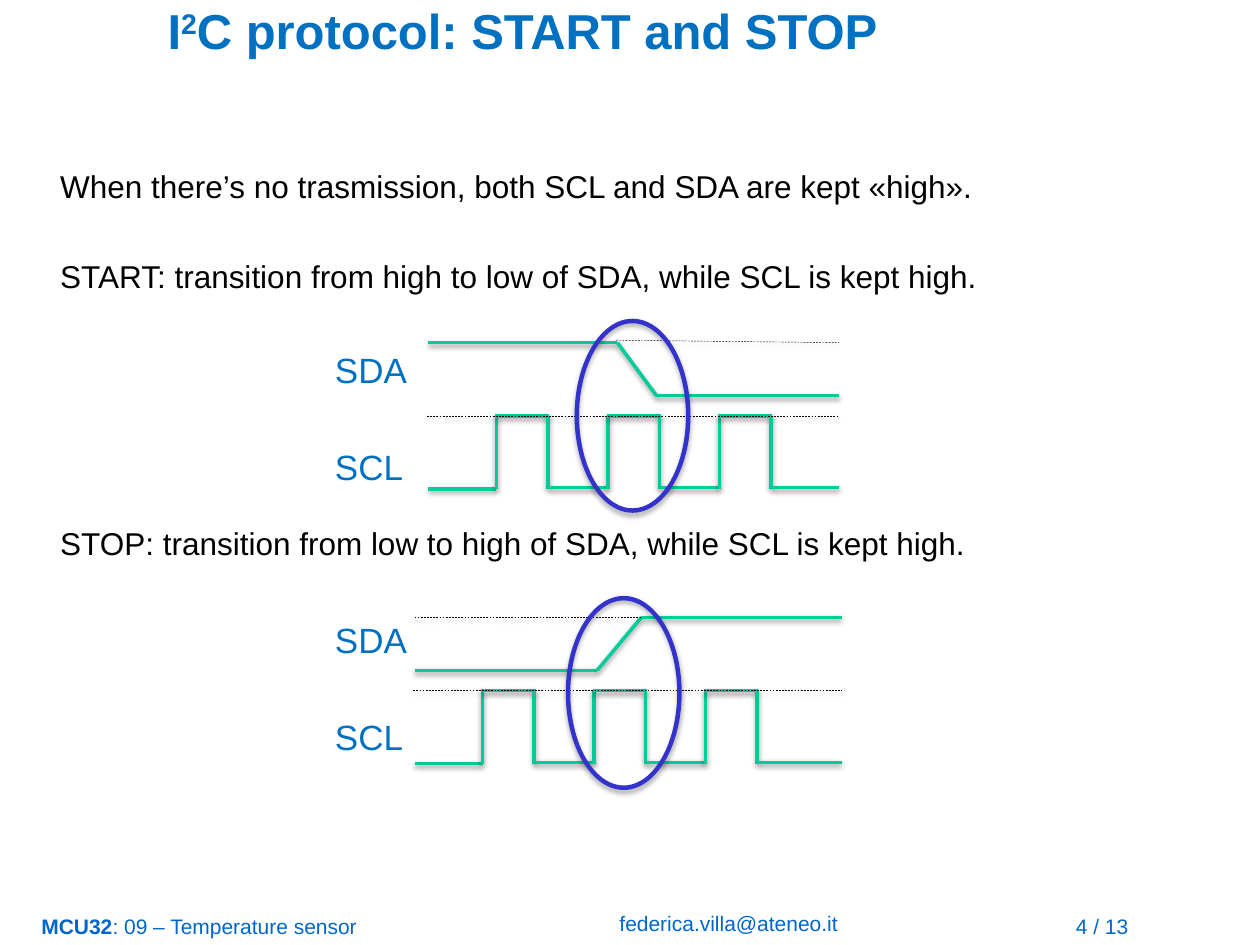
from dataclasses import dataclass
from itertools import pairwise

from lxml.etree import SubElement
from pptx import Presentation
from pptx.dml.color import RGBColor
from pptx.enum.dml import MSO_LINE
from pptx.enum.shapes import MSO_CONNECTOR, MSO_SHAPE
from pptx.enum.text import MSO_ANCHOR, PP_ALIGN
from pptx.oxml.ns import qn
from pptx.util import Inches, Pt

BLACK = RGBColor(0x00, 0x00, 0x00)
TITLE_BLUE = RGBColor(0x00, 0x70, 0xC0)
FOOTER_BLUE = RGBColor(0x00, 0x66, 0xCC)
GREEN = RGBColor(0x00, 0xCC, 0x99)
INDIGO = RGBColor(0x33, 0x33, 0xCC)

SCL_HEIGHT = 0.58
PULSE_PITCH = 0.885
PULSE_WIDTH = 0.41
FIRST_RISE = 0.54

Point = tuple[float, float]


@dataclass(frozen=True)
class Diagram:
    left: float
    right: float
    scl_high: float
    sda: tuple[Point, ...]
    sda_reference: tuple[Point, Point]
    sda_label_top: float
    ring: Point


DIAGRAMS = [
    Diagram(3.40, 6.66, 3.30,
            ((3.40, 2.72), (4.90, 2.72), (5.21, 3.14), (6.66, 3.14)),
            ((4.89, 2.70), (6.66, 2.72)), 2.72, (4.56, 2.53)),
    Diagram(3.29, 6.68, 5.48,
            ((3.29, 5.32), (4.74, 5.32), (5.09, 4.90), (6.68, 4.90)),
            ((3.29, 4.90), (5.10, 4.90)), 4.86, (4.49, 4.73)),
]


def add_shadow(sp, alpha: int, distance: float) -> None:
    effects = SubElement(sp._element.spPr, qn("a:effectLst"))
    shadow = SubElement(effects, qn("a:outerShdw"), blurRad=str(Pt(3.1)),
                        dist=str(Pt(distance)), dir="5400000", rotWithShape="0")
    color = SubElement(shadow, qn("a:srgbClr"), val=str(BLACK))
    SubElement(color, qn("a:alpha"), val=str(alpha * 1000))


def add_line(shapes, start: Point, end: Point, color=GREEN, width=2.0, dash=None) -> None:
    line = shapes.add_connector(MSO_CONNECTOR.STRAIGHT,
                                *(Inches(v) for v in (*start, *end)))
    line.line.color.rgb = color
    line.line.width = Pt(width)
    if dash is not None:
        line.line.dash_style = dash
    add_shadow(line, 38, 1.6)


def add_text(shapes, left: float, top: float, width: float, height: float,
             size: float, color: RGBColor, *texts: str):
    box = shapes.add_textbox(Inches(left), Inches(top), Inches(width), Inches(height))
    tf = box.text_frame
    tf.word_wrap = True
    tf.text = "\n".join(texts)
    for p in tf.paragraphs:
        p.font.name = "Arial"
        p.font.size = Pt(size)
        p.font.color.rgb = color
    return tf


def add_clock(shapes, d: Diagram) -> None:
    high, low = d.scl_high, d.scl_high + SCL_HEIGHT
    rises = [d.left + FIRST_RISE + i * PULSE_PITCH for i in range(3)]
    add_line(shapes, (d.left, low), (rises[0], low))
    for rise, next_rise in pairwise([*rises, d.right]):
        fall = rise + PULSE_WIDTH
        add_line(shapes, (rise, low), (rise, high))
        add_line(shapes, (rise - 0.01, high), (fall + 0.01, high))
        add_line(shapes, (fall, low), (fall, high))
        add_line(shapes, (fall + 0.01, low - 0.01), (next_rise, low - 0.01))


def add_diagram(shapes, d: Diagram) -> None:
    # Signals
    for start, end in pairwise(d.sda):
        add_line(shapes, start, end)
    add_clock(shapes, d)

    # High-level reference lines
    scl_reference = (d.left - 0.01, d.scl_high), (d.right, d.scl_high)
    for start, end in (scl_reference, d.sda_reference):
        add_line(shapes, start, end, BLACK, 0.25, MSO_LINE.DASH)

    # Signal names
    for i, name in enumerate(("SDA", "SCL")):
        add_text(shapes, 2.56, d.sda_label_top + i * 0.77, 1.11, 0.39,
                 20, TITLE_BLUE, name)


def add_ring(shapes, d: Diagram) -> None:
    ring = shapes.add_shape(MSO_SHAPE.DONUT, Inches(d.ring[0]), Inches(d.ring[1]),
                            Inches(0.92), Inches(1.54))
    ring.adjustments[0] = 0.039
    ring.fill.solid()
    ring.fill.fore_color.rgb = INDIGO
    ring.line.fill.background()
    add_shadow(ring, 35, 1.8)


def main() -> None:
    prs = Presentation()
    prs.slide_width, prs.slide_height = Inches(10), Inches(7.5)
    shapes = prs.slides.add_slide(prs.slide_layouts[6]).shapes

    # Footer
    email = add_text(shapes, 4.69, 7.18, 2.06, 0.3, 12, FOOTER_BLUE,
                     "federica.villa@ateneo.it")
    email.paragraphs[0].alignment = PP_ALIGN.RIGHT
    add_text(shapes, 8.44, 7.2, 0.78, 0.3, 12, FOOTER_BLUE, "4 / 13")
    course = add_text(shapes, 0.23, 7.2, 4.14, 0.3, 12, FOOTER_BLUE, "MCU32")
    p = course.paragraphs[0]
    p.runs[0].font.bold = True
    p.add_run().text = ": 09 – Temperature sensor"

    # Title
    title = add_text(shapes, 1.33, 0, 8.67, 0.47, 28, TITLE_BLUE, "I")
    title.margin_left = title.margin_right = title.margin_top = title.margin_bottom = 0
    title.vertical_anchor = MSO_ANCHOR.BOTTOM
    p = title.paragraphs[0]
    p.font.bold = True
    exponent = p.add_run()
    exponent.text = "2"
    exponent._r.get_or_add_rPr().set("baseline", "30000")
    p.add_run().text = "C protocol: START and STOP"

    # Explanations, spaced to leave room for the diagrams
    body = add_text(
        shapes, 0.38, 1.28, 8.67, 5.69, 18, BLACK,
        "When there’s no trasmission, both SCL and SDA are kept «high».",
        "START: transition from high to low of SDA, while SCL is kept high.",
        "STOP: transition from low to high of SDA, while SCL is kept high.")
    for p, gap in zip(body.paragraphs, (0, 29.6, 130.7)):
        p.space_before = Pt(gap)

    # Timing diagrams with the key transitions ringed
    for d in DIAGRAMS:
        add_diagram(shapes, d)
    for d in DIAGRAMS:
        add_ring(shapes, d)

    prs.save("out.pptx")


if __name__ == "__main__":
    main()
